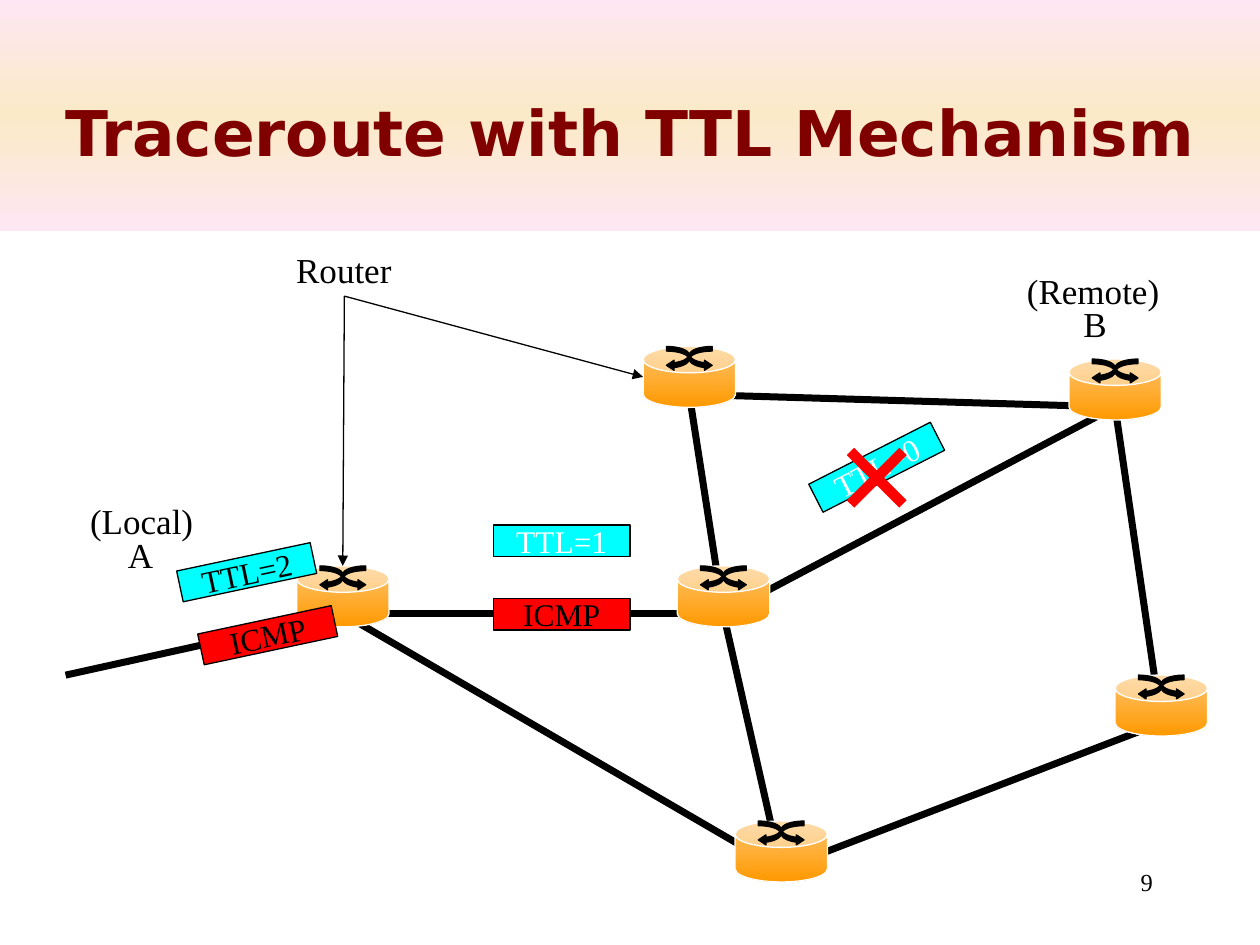
from copy import deepcopy

from lxml import etree
from pptx import Presentation, util as u
from pptx.dml.color import RGBColor
from pptx.enum import shapes, text
from pptx.oxml.ns import qn

BLACK = RGBColor(0x00, 0x00, 0x00)
WHITE = RGBColor(0xFF, 0xFF, 0xFF)
RED = RGBColor(0xFF, 0x00, 0x00)
CYAN = RGBColor(0x00, 0xFF, 0xFF)
MAROON = RGBColor(0x80, 0x00, 0x00)
PINK = RGBColor(0xFE, 0xE7, 0xF2)
CREAM = RGBColor(0xFB, 0xEA, 0xC7)
LIGHT_ORANGE = RGBColor(0xFE, 0xC4, 0x6E)
ORANGE = RGBColor(0xFF, 0x99, 0x00)

COLUMNS, ROWS = 120, 90
ROUTER_WIDTH, ROUTER_HEIGHT = 8.8, 5.8
LINK_DROP = 4.56  # rows from a router's top to where its links meet

# Centre column and top row of each router
ROUTERS = {
    "top": (65.65, 33),
    "remote": (106.2, 34.2),
    "right": (110.6, 64.3),
    "middle": (68.9, 53.9),
    "bottom": (74.4, 78.2),
    "local": (32.65, 53.9),
}
LINKS = [("local", "middle"), ("local", "bottom"), ("bottom", "middle"),
         ("top", "middle"), ("middle", "remote"), ("top", "remote"),
         ("bottom", "right"), ("remote", "right")]
PACKETS = [
    ("TTL=2", 17, 53, CYAN, BLACK, 348),
    ("TTL=1", 47, 50, CYAN, WHITE, 0),
    ("TTL=0", 77, 43, CYAN, WHITE, 333),
    ("ICMP", 47, 57, RED, BLACK, 0),
    ("ICMP", 19, 59, RED, BLACK, 348),
]
LABELS = [
    ("Router", 27, 23, 11.5, 5.3, 1),
    ("A", 11, 51, 4.8, 4.4, 0.8),
    ("(Local)", 7.4, 46.9, 12.2, 5.3, 1),
    ("B", 102, 29, 4.6, 4.4, 0.8),
    ("(Remote)", 96.6, 25, 15, 5.3, 1),
]


def curve(start, first, second, end, steps=8):
    """Points along a cubic Bézier curve, without its start."""
    points = []
    for step in range(1, steps + 1):
        t = step / steps
        weights = ((1 - t) ** 3, 3 * t * (1 - t) ** 2, 3 * t * t * (1 - t), t ** 3)
        points.append(tuple(sum(w * p[axis] for w, p in zip(weights, (start, first, second, end)))
                            for axis in (0, 1)))
    return points


# Right-hand switching arrow, in cells from the router's top centre
SWITCH_ARROW = [
    (2.18, 0), *curve((2.18, 0), (0.97, 0), (0, 0.36), (0, 0.8)),
    (0, 1.22), *curve((0, 1.22), (0, 1.58), (0.58, 1.9), (1.45, 2.02)),
    (1.45, 2.27), (2.18, 1.8), (1.45, 1.32), (1.45, 1.56),
    *curve((1.45, 1.56), (0.8, 1.46), (0.3, 1.27), (0.12, 1.0)),
    *curve((0.12, 1.0), (0.36, 0.68), (1.2, 0.44), (2.18, 0.44)),
]


class Diagram:
    """Style and current slide, measured in columns and rows."""

    def __init__(self, deck, font="Times New Roman"):
        self.deck = deck
        self.font = font
        self.page = deck.slides.add_slide(deck.slide_layouts[5])

    def x(self, column):
        return round(self.deck.slide_width * column / COLUMNS)

    def y(self, row):
        return round(self.deck.slide_height * row / ROWS)

    def frame(self, column, row, width, height):
        return self.x(column), self.y(row), self.x(width), self.y(height)

    def set_text(self, shape, words, size, color, align=text.PP_ALIGN.CENTER,
                 anchor=text.MSO_ANCHOR.MIDDLE, wrap=False, font=None):
        box = shape.text_frame
        box.text = words
        box.word_wrap = wrap
        box.auto_size = text.MSO_AUTO_SIZE.NONE
        box.vertical_anchor = anchor
        para = box.paragraphs[0]
        para.alignment = align
        para.font.name = font or self.font
        para.font.size = u.Pt(size)
        para.font.color.rgb = color
        return para

    def outline(self, shape, color):
        shape.shadow.inherit = False
        shape.line.color.rgb = color
        shape.line.width = u.Pt(0.75)

    def shade(self, shape, *colors):
        """Fill from top to bottom with evenly spaced colours."""
        shape.fill.gradient()
        shape.fill.gradient_angle = 270
        stop_list = shape._element.spPr.find(".//" + qn("a:gsLst"))
        for _ in colors[2:]:
            stop_list.append(deepcopy(stop_list[-1]))
        for index, (stop, color) in enumerate(zip(shape.fill.gradient_stops, colors)):
            stop.color.rgb = color
            stop.position = index / (len(colors) - 1)

    def header(self, words):
        band = self.page.shapes.add_shape(shapes.MSO_SHAPE.RECTANGLE, *self.frame(0, 0, COLUMNS, 22))
        band.shadow.inherit = False
        band.line.fill.background()
        self.shade(band, PINK, CREAM, PINK)
        title = self.page.shapes.title
        title._element.addprevious(band._element)
        title.left, title.top, title.width, title.height = self.frame(3, 5, 114, 15)
        self.set_text(title, words, 36, MAROON, wrap=True, font="DejaVu Sans").font.bold = True

    def line(self, start, end, color=BLACK, width=4, arrow=False):
        link = self.page.shapes.add_connector(
            shapes.MSO_CONNECTOR.STRAIGHT,
            self.x(start[0]), self.y(start[1]), self.x(end[0]), self.y(end[1]))
        link.line.color.rgb = color
        link.line.width = u.Pt(width)
        properties = link._element.spPr
        if arrow:
            etree.SubElement(properties.find(qn("a:ln")), qn("a:tailEnd"), type="triangle")
        etree.SubElement(properties, qn("a:effectLst"))

    def router(self, center, top):
        can = self.page.shapes.add_shape(
            shapes.MSO_SHAPE.CAN,
            *self.frame(center - ROUTER_WIDTH / 2, top, ROUTER_WIDTH, ROUTER_HEIGHT))
        can.adjustments[0] = 0.433
        self.shade(can, LIGHT_ORANGE, ORANGE)
        self.outline(can, WHITE)
        for side in (1, -1):
            points = [(self.x(center + side * across), self.y(top + down))
                      for across, down in SWITCH_ARROW]
            builder = self.page.shapes.build_freeform(*points[0])
            builder.add_line_segments(points[1:], close=True)
            arrow = builder.convert_to_shape()
            arrow.fill.solid()
            arrow.fill.fore_color.rgb = BLACK
            self.outline(arrow, BLACK)

    def packet(self, words, column, row, fill, color, rotation):
        packet = self.page.shapes.add_shape(
            shapes.MSO_SHAPE.RECTANGLE, *self.frame(column, row, 13, 3))
        packet.rotation = rotation
        packet.fill.solid()
        packet.fill.fore_color.rgb = fill
        self.outline(packet, BLACK)
        self.set_text(packet, words, 18, color)

    def label(self, words, column, row, width, height, spacing=1, size=20, **layout):
        box = self.page.shapes.add_textbox(*self.frame(column, row, width, height))
        self.set_text(box, words, size, BLACK, **layout).line_spacing = spacing


def main():
    deck = Presentation()
    deck.slide_width, deck.slide_height = u.Inches(10), u.Inches(7.5)
    diagram = Diagram(deck)
    diagram.header("Traceroute with TTL Mechanism")

    joints = {name: (center, top + LINK_DROP) for name, (center, top) in ROUTERS.items()}
    diagram.line((6.25, 64.3), joints["local"])
    for start, end in LINKS:
        diagram.line(joints[start], joints[end])
    for center, top in ROUTERS.values():
        diagram.router(center, top)

    for packet in PACKETS:
        diagram.packet(*packet)
    for start, end in (((81, 43), (86, 48)), ((86, 43), (81, 48))):
        diagram.line(start, end, RED, 6)

    for label in LABELS:
        diagram.label(*label)
    center, top = ROUTERS["top"]
    top_router_side = (center - ROUTER_WIDTH / 2, top + ROUTER_HEIGHT / 2)
    for target in (top_router_side, ROUTERS["local"]):
        diagram.line((32.8, 28.2), target, width=0.75, arrow=True)
    diagram.label("9", 86, 82, 25, 6, size=14, align=text.PP_ALIGN.RIGHT,
                  anchor=text.MSO_ANCHOR.TOP, wrap=True)
    deck.save("out.pptx")


if __name__ == "__main__":
    main()
